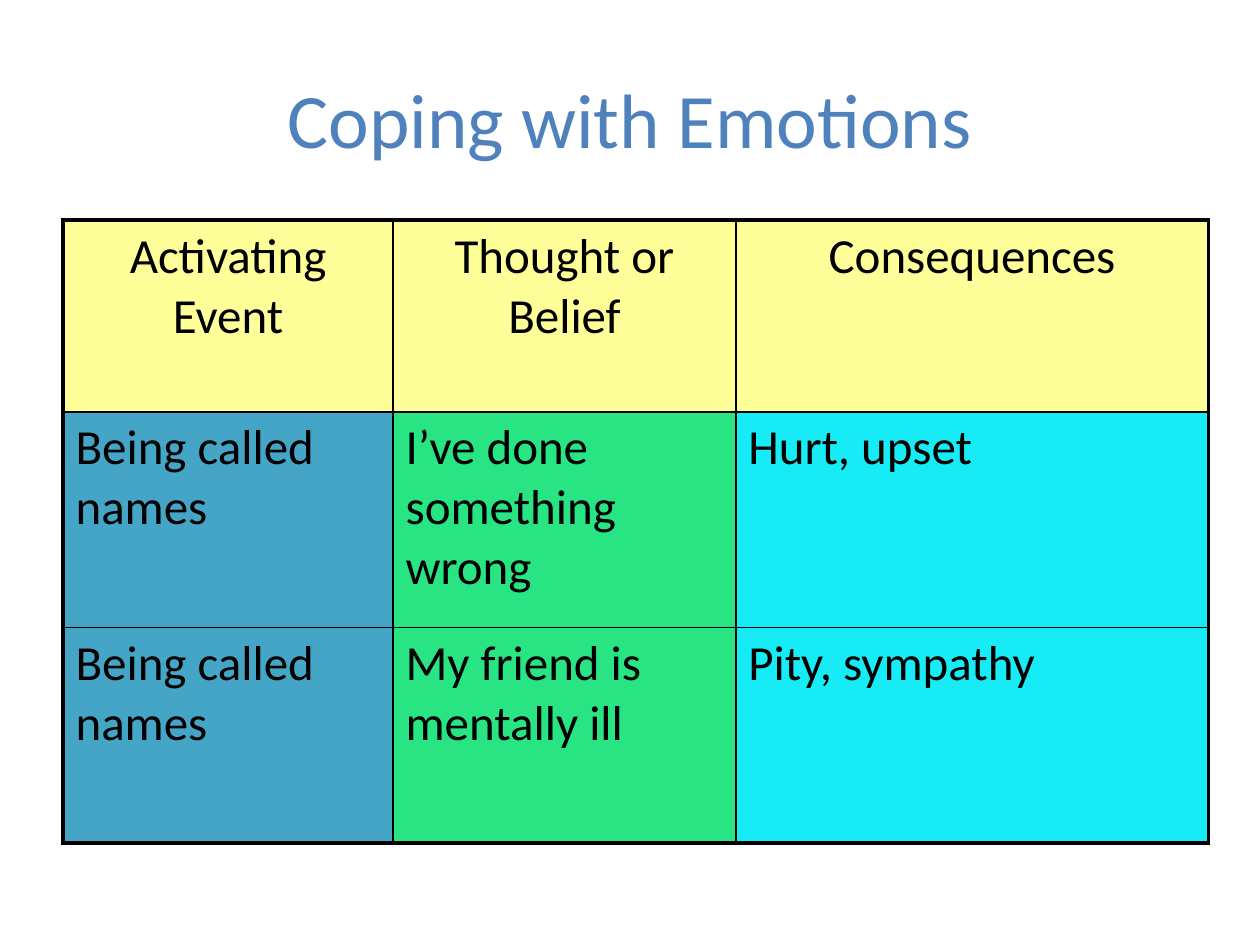
from lxml import etree
from pptx import Presentation
from pptx.dml.color import RGBColor
from pptx.enum.text import MSO_ANCHOR, PP_ALIGN
from pptx.oxml.ns import qn
from pptx.util import Inches, Pt

CENTER, LEFT = PP_ALIGN.CENTER, PP_ALIGN.LEFT
MIDDLE = MSO_ANCHOR.MIDDLE
WIDTH, HEIGHT = Inches(10), Inches(7.5)
COLORS = {
    "title": "4F81BD",
    "text": "000000",
    "border": "000000",
    "header": "FFFF99",
    "event": "45A5C7",
    "thought": "28E482",
    "consequence": "16EBF6",
}
COLUMN_FILLS = ["event", "thought", "consequence"]
COLUMN_WIDTHS = [0.262, 0.272, 0.375]
ROW_HEIGHTS = [0.203, 0.228, 0.228]
ROWS = [
    ["Activating Event", "Thought or Belief", "Consequences"],
    ["Being called names", "I’ve done something wrong", "Hurt, upset"],
    ["Being called names", "My friend is mentally ill", "Pity, sympathy"],
]


def write(tf, text, size=28, color="text", align=LEFT):
    tf.word_wrap = True
    p = tf.paragraphs[0]
    p.alignment = align
    r = p.add_run()
    r.text = text
    r.font.name = "Calibri"
    r.font.size = Pt(size)
    r.font.color.rgb = RGBColor.from_string(COLORS[color])


class SlideBuilder:
    inner, outer = 1, 2.25

    def __init__(self, slide):
        self.slide = slide

    def title(self, text, x, y, w, h):
        sp = self.slide.shapes.add_textbox(
            int(x * WIDTH), int(y * HEIGHT), int(w * WIDTH), int(h * HEIGHT))
        sp.text_frame.vertical_anchor = MIDDLE
        write(sp.text_frame, text, size=44, color="title", align=CENTER)

    def borders(self, cell, edges):
        tc_pr = cell._tc.get_or_add_tcPr()
        for i, (side, is_outer) in enumerate(edges.items()):
            width = self.outer if is_outer else self.inner
            ln = etree.Element(qn(f"a:ln{side}"), w=str(Pt(width)))
            fill = etree.SubElement(ln, qn("a:solidFill"))
            etree.SubElement(fill, qn("a:srgbClr"), val=COLORS["border"])
            tc_pr.insert(i, ln)

    def table(self, rows, x, y, widths, heights):
        last_row, last_col = len(heights) - 1, len(widths) - 1
        table = self.slide.shapes.add_table(
            len(heights), len(widths), int(x * WIDTH), int(y * HEIGHT),
            int(sum(widths) * WIDTH), int(sum(heights) * HEIGHT)).table
        table.first_row = table.horz_banding = False
        for column, w in zip(table.columns, widths):
            column.width = int(w * WIDTH)
        for row, h in zip(table.rows, heights):
            row.height = int(h * HEIGHT)
        for i, texts in enumerate(rows):
            for j, text in enumerate(texts):
                cell = table.cell(i, j)
                color = COLUMN_FILLS[j] if i else "header"
                cell.fill.solid()
                cell.fill.fore_color.rgb = RGBColor.from_string(COLORS[color])
                write(cell.text_frame, text, align=LEFT if i else CENTER)
                self.borders(cell, {"L": j == 0, "R": j == last_col,
                                    "T": i == 0, "B": i == last_row})


def main():
    prs = Presentation()
    prs.slide_width, prs.slide_height = WIDTH, HEIGHT
    builder = SlideBuilder(prs.slides.add_slide(prs.slide_layouts[6]))
    builder.title("Coping with Emotions", 0.05, 0.04, 0.9, 0.17)
    builder.table(ROWS, 0.05, 0.233, COLUMN_WIDTHS, ROW_HEIGHTS)
    prs.save("out.pptx")


if __name__ == "__main__":
    main()
